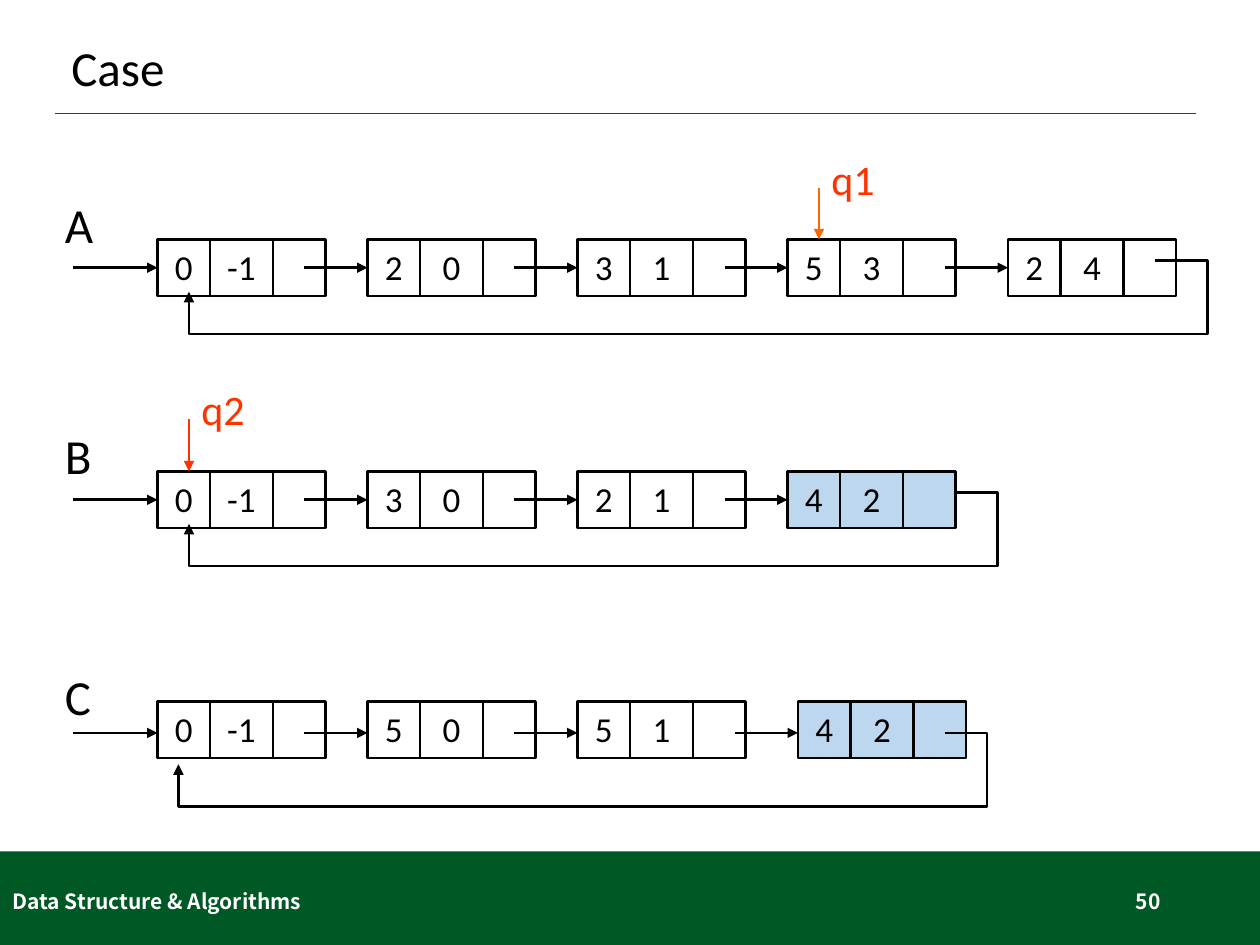
from dataclasses import dataclass

from lxml.etree import SubElement
from pptx import Presentation
from pptx.dml.color import RGBColor
from pptx.enum.shapes import MSO_CONNECTOR as Conn, MSO_SHAPE as Shape
from pptx.enum.text import MSO_ANCHOR as Anchor, MSO_AUTO_SIZE as Auto, PP_ALIGN as Align
from pptx.oxml.ns import qn
from pptx.util import Pt

PX = 7620  # EMU per px, 120 px to the inch


@dataclass(frozen=True)
class Theme:
    green: str = "005825"
    black: str = "000000"
    white: str = "FFFFFF"
    blue: str = "BDD7EE"
    red: str = "FF3300"
    orange: str = "FF6600"
    body: str = "Calibri"
    footer: str = "Noto Sans CJK SC"
    head_size: int = 28
    mark_size: int = 24
    cell_size: int = 20
    foot_size: int = 12
    thick: float = 1.5
    rule: float = 1
    thin: float = 0.75


T = Theme()


class Deck:
    def __init__(self, width, height):
        self.prs = Presentation()
        self.prs.slide_width, self.prs.slide_height = width * PX, height * PX
        self.s = self.prs.slides.add_slide(self.prs.slide_layouts[5])

    def set_text(self, tf, text, size, color=T.black, font=T.body, bold=False,
                 align=Align.LEFT, anchor=Anchor.TOP):
        tf.word_wrap, tf.vertical_anchor = True, anchor
        p = tf.paragraphs[0]
        p.alignment = align
        r = p.add_run()
        r.text = text
        for name, value in {"size": Pt(size), "name": font, "bold": bold}.items():
            setattr(r.font, name, value)
        r.font.color.rgb = RGBColor.from_string(color)
        return p

    def stroke(self, sp, color, width, arrow):
        sp.line.color.rgb = RGBColor.from_string(color)
        sp.line.width = Pt(width)
        if arrow:
            SubElement(sp.element.spPr.find(qn("a:ln")), qn("a:tailEnd"), type="triangle")

    def title(self, text, *box):
        sp = self.s.shapes.title
        for name, value in zip(("left", "top", "width", "height"), box):
            setattr(sp, name, value * PX)
        self.set_text(sp.text_frame, text, T.head_size, anchor=Anchor.MIDDLE).line_spacing = 0.9

    def rect(self, *box, fill=None, line=None):
        sp = self.s.shapes.add_shape(Shape.RECTANGLE, *(v * PX for v in box))
        sp.shadow.inherit = False
        if fill:
            sp.fill.solid()
            sp.fill.fore_color.rgb = RGBColor.from_string(fill)
        else:
            sp.fill.background()
        if line:
            self.stroke(sp, line, T.thick, False)
        else:
            sp.line.fill.background()
        return sp

    def label(self, text, *box, grow=True, **style):
        sp = self.s.shapes.add_textbox(*(v * PX for v in box))
        self.set_text(sp.text_frame, text, **style)
        if grow:
            sp.text_frame.auto_size = Auto.SHAPE_TO_FIT_TEXT

    def line(self, *ends, color=T.black, width=T.thick, arrow=True, target=None):
        c = self.s.shapes.add_connector(Conn.STRAIGHT, *(v * PX for v in ends))
        self.stroke(c, color, width, arrow)
        SubElement(c.element.spPr, qn("a:effectLst"))
        if target:
            c.end_connect(target, 1)

    def path_arrow(self, start, *points):
        builder = self.s.shapes.build_freeform(*start, scale=PX)
        builder.add_line_segments(points, close=False)
        sp = builder.convert_to_shape()
        sp.shadow.inherit = False
        sp.fill.background()
        self.stroke(sp, T.black, T.thick, True)

    def node(self, x, y, coef, exp, fill):
        """One list node: coefficient, exponent and link; returns its first cell."""
        cells = []
        for text, width in ((coef, 50), (exp, 60), ("", 50)):
            sp = self.rect(x, y, width, CELL_H, fill=fill, line=T.black)
            if text:
                self.set_text(sp.text_frame, text, T.cell_size, align=Align.CENTER)
            cells.append(sp)
            x += width
        return cells[0]


CELL_H = 54
MIDDLE = CELL_H // 2

# name, label top, node top, link offset, nodes (x, coefficient, exponent, fill),
# return path: start x, right x, end x, start offset
LISTS = [
    ("A", 179, 228, MIDDLE,
     [(150, "0", "-1", None), (350, "2", "0", None), (550, "3", "1", None),
      (750, "5", "3", None), (960, "2", "4", None)],
     (1100, 1150, 180, 20)),
    ("B", 399, 449, MIDDLE,
     [(150, "0", "-1", None), (350, "3", "0", None), (550, "2", "1", None),
      (750, "4", "2", T.blue)],
     (911, 950, 180, 20)),
    ("C", 629, 668, 30,
     [(150, "0", "-1", None), (350, "5", "0", None), (550, "5", "1", None),
      (760, "4", "2", T.blue)],
     (900, 940, 170, 30)),
]

# text, arrow x, arrow top, arrow bottom, label top, arrow colour
MARKS = [("q1", 780, 179, 228, 140, T.orange), ("q2", 180, 399, 449, 359, T.red)]


def main():
    d = Deck(1200, 900)

    # Frame: footer bar, title rule, title and footer texts
    d.rect(0, 811, 1200, 89, fill=T.green)
    d.line(52, 108, 1139, 108, color=T.green, width=T.rule, arrow=False)
    d.title("Case", 56, 28, 1087, 79)
    foot = dict(size=T.foot_size, color=T.white, font=T.footer, bold=True,
                anchor=Anchor.MIDDLE, grow=False)
    d.label("Data Structure & Algorithms", 0, 834, 406, 48, **foot)
    d.label("50", 847, 834, 270, 48, align=Align.RIGHT, **foot)

    # Circular linked lists
    for name, label_top, top, link, nodes, (start, right, end, drop) in LISTS:
        heads = [d.node(x, top, coef, exp, fill) for x, coef, exp, fill in nodes]
        for i, (head, (x, *_)) in enumerate(zip(heads, nodes)):
            length = 60 if i else 80
            d.line(x - length, top + link, x, top + link,
                   target=head if link == MIDDLE else None)
        y = top + drop
        d.path_arrow((start, y), (right, y), (right, y + 70), (end, y + 70), (end, y + 30))
        d.label(name, 50, label_top, 100, 68, size=T.head_size)

    # Current-node pointers
    for text, x, top, bottom, label_top, color in MARKS:
        d.line(x, top, x, bottom, color=color, width=T.thin)
        d.label(text, x, label_top, 100, 60, size=T.mark_size, color=T.red)

    d.prs.save("out.pptx")


if __name__ == "__main__":
    main()
